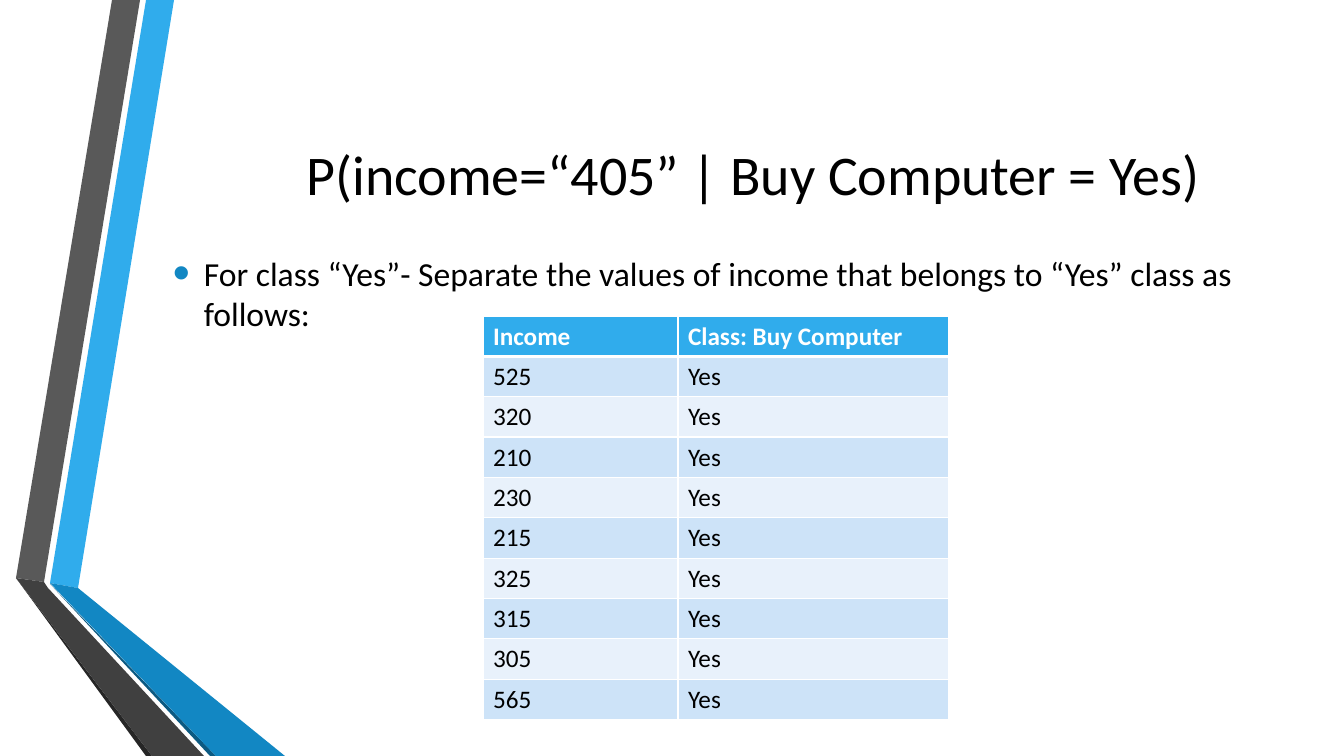
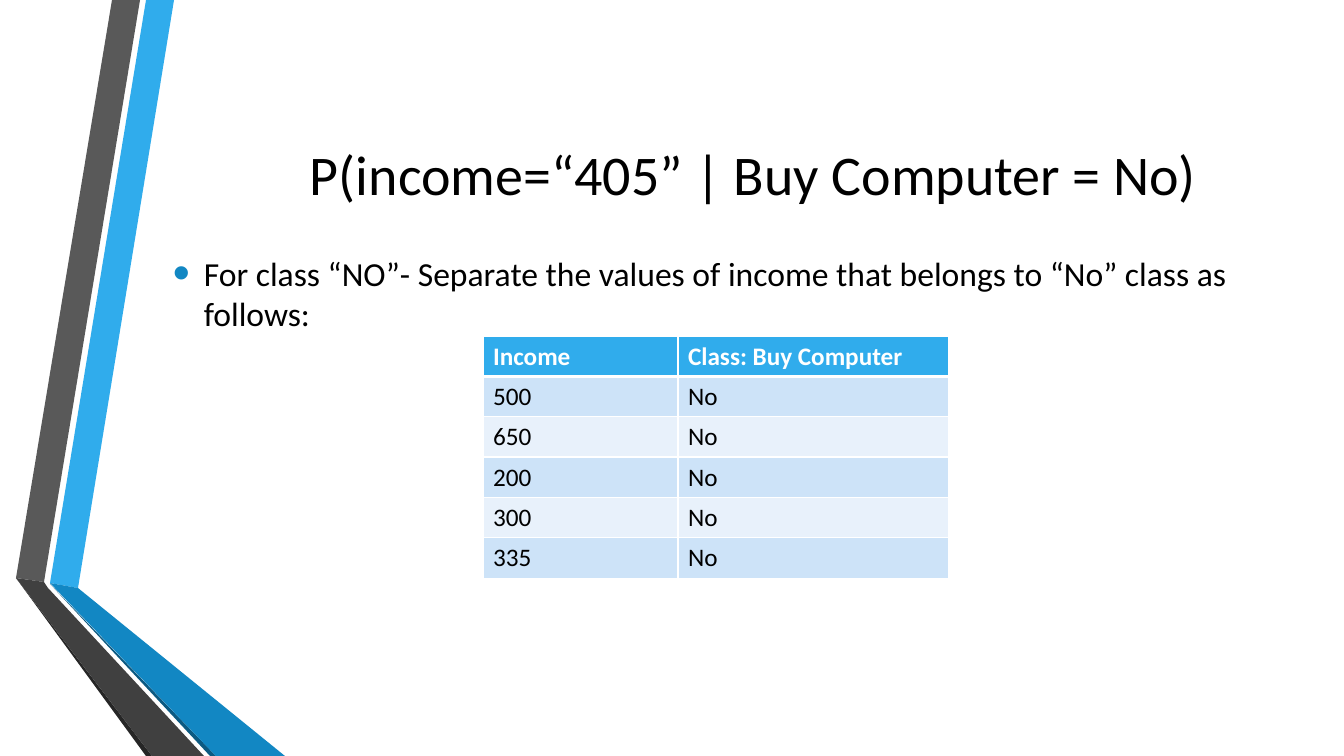
from typing import NamedTuple

from lxml.etree import SubElement
from pptx import Presentation
from pptx.dml.color import RGBColor
from pptx.enum.text import MSO_ANCHOR, PP_ALIGN
from pptx.oxml.ns import qn
from pptx.util import Emu, Pt

SLIDE_WIDTH, SLIDE_HEIGHT = 1344, 756
SCALE = 914400 / 100.8

FONT = "Calibri"
BLACK = RGBColor(0x00, 0x00, 0x00)
WHITE = RGBColor(0xFF, 0xFF, 0xFF)
BLUE = RGBColor(0x30, 0xAC, 0xEC)
DEEP_BLUE = RGBColor(0x12, 0x87, 0xC3)
NAVY = RGBColor(0x0C, 0x5A, 0x82)
GREY = RGBColor(0x59, 0x59, 0x59)
CHARCOAL = RGBColor(0x40, 0x40, 0x40)
SOOT = RGBColor(0x26, 0x26, 0x26)
ROW_FILLS = (RGBColor(0xCD, 0xE3, 0xF8), RGBColor(0xE8, 0xF1, 0xFB))

TITLE_FORMAT = {"name": FONT, "size": Pt(40)}
BODY_FORMAT = {"name": FONT, "size": Pt(24)}
HEADER_FORMAT = {"name": FONT, "size": Pt(18), "bold": True}
CELL_FORMAT = {"name": FONT, "size": Pt(18), "bold": False}

# Ribbon facets from back to front, measured from the ribbon's top left corner
RIBBON_FACETS = (
    (BLUE, ((50, 583), (78, 588), (174, 0), (146, 0))),
    (GREY, ((140, 0), (112, 0), (16, 578), (44, 582))),
    (SOOT, ((16, 578), (146, 756), (152, 756))),
    (NAVY, ((50, 584), (210, 756), (216, 756))),
    (DEEP_BLUE, ((50, 583), (216, 756), (285, 756), (78, 588))),
    (CHARCOAL, ((204, 756), (48, 588), (44, 582), (16, 578), (152, 756))),
)

HEADINGS = ("Income", "Class: Buy Computer")
COLUMN_WIDTHS = (195, 271)
ROW_HEIGHT = 40


class Box(NamedTuple):
    left: int
    top: int
    width: int
    height: int


TITLE_BOX = Box(163, 76, 1180, 194)
BODY_BOX = Box(163, 247, 1105, 92)

SLIDES = (
    {
        "title": "P(income=“405” | Buy Computer = Yes)",
        "body": "For class “Yes”- Separate the values of income that belongs to “Yes” class as follows:",
        "answer": "Yes",
        "incomes": (525, 320, 210, 230, 215, 325, 315, 305, 565),
        "table_top": 316,
    },
    {
        "title": "P(income=“405” | Buy Computer = No)",
        "body": "For class “NO”- Separate the values of income that belongs to “No” class as follows:",
        "answer": "No",
        "incomes": (500, 650, 200, 300, 335),
        "table_top": 336,
    },
)


def px(length):
    return Emu(round(length * SCALE))


def write(para, text, formats, color):
    span = para.add_run()
    span.text = text
    for name, value in formats.items():
        setattr(span.font, name, value)
    span.font.color.rgb = color


def add_ribbon(page, left, top):
    for color, points in RIBBON_FACETS:
        start, *rest = points
        outline = page.shapes.build_freeform(*start, scale=SCALE)
        outline.add_line_segments(rest, close=True)
        facet = outline.convert_to_shape(px(left), px(top))
        facet.shadow.inherit = False
        facet.fill.solid()
        facet.fill.fore_color.rgb = color
        facet.line.fill.background()


def add_text(page, box, text, formats):
    """Add vertically centred text and return its paragraph."""
    frame = page.shapes.add_textbox(*map(px, box)).text_frame
    frame.word_wrap = True
    frame.vertical_anchor = MSO_ANCHOR.MIDDLE
    para = frame.paragraphs[0]
    write(para, text, formats, BLACK)
    return para


def add_title(page, box, text):
    add_text(page, box, text, TITLE_FORMAT).alignment = PP_ALIGN.CENTER


def add_bullet(page, box, text):
    para = add_text(page, box, text, BODY_FORMAT)
    properties = para._p.get_or_add_pPr()
    properties.set("marL", str(px(31)))
    properties.set("indent", str(px(-31)))
    color = SubElement(properties, qn("a:buClr"))
    SubElement(color, qn("a:srgbClr"), val=str(DEEP_BLUE))
    SubElement(properties, qn("a:buSzPct"), val="145000")
    SubElement(properties, qn("a:buFont"), typeface="Arial")
    SubElement(properties, qn("a:buChar"), char="•")


def add_borders(cell, widths):
    """Draw white borders; widths maps each side's letter to points."""
    properties = cell._tc.get_or_add_tcPr()
    for side, width in widths.items():
        line = SubElement(properties, qn(f"a:ln{side}"), w=str(Pt(width)))
        fill = SubElement(line, qn("a:solidFill"))
        SubElement(fill, qn("a:srgbClr"), val=str(WHITE))


def add_income_table(page, box, rows):
    frame = page.shapes.add_table(len(rows), len(HEADINGS), *map(px, box))
    table = frame.table
    table.horz_banding = False
    for column, width in zip(table.columns, COLUMN_WIDTHS):
        column.width = px(width)
    for index, values in enumerate(rows):
        header = index == 0
        fill = BLUE if header else ROW_FILLS[(index - 1) % 2]
        formats = HEADER_FORMAT if header else CELL_FORMAT
        borders = {"L": 1, "R": 1, "T": 3 if index == 1 else 1, "B": 3 if header else 1}
        for cell, value in zip(table.rows[index].cells, values):
            add_borders(cell, borders)
            cell.fill.solid()
            cell.fill.fore_color.rgb = fill
            write(cell.text_frame.paragraphs[0], value, formats, WHITE if header else BLACK)


def add_income_slide(deck, title, body, answer, incomes, table_top):
    page = deck.slides.add_slide(deck.slide_layouts[6])
    add_ribbon(page, 0, 0)
    add_title(page, TITLE_BOX, title)
    add_bullet(page, BODY_BOX, body)
    rows = [HEADINGS] + [(str(income), answer) for income in incomes]
    table_box = Box(483, table_top, sum(COLUMN_WIDTHS), ROW_HEIGHT * len(rows))
    add_income_table(page, table_box, rows)


def main():
    deck = Presentation()
    deck.slide_width, deck.slide_height = px(SLIDE_WIDTH), px(SLIDE_HEIGHT)
    for content in SLIDES:
        add_income_slide(deck, **content)
    deck.save("out.pptx")


if __name__ == "__main__":
    main()
